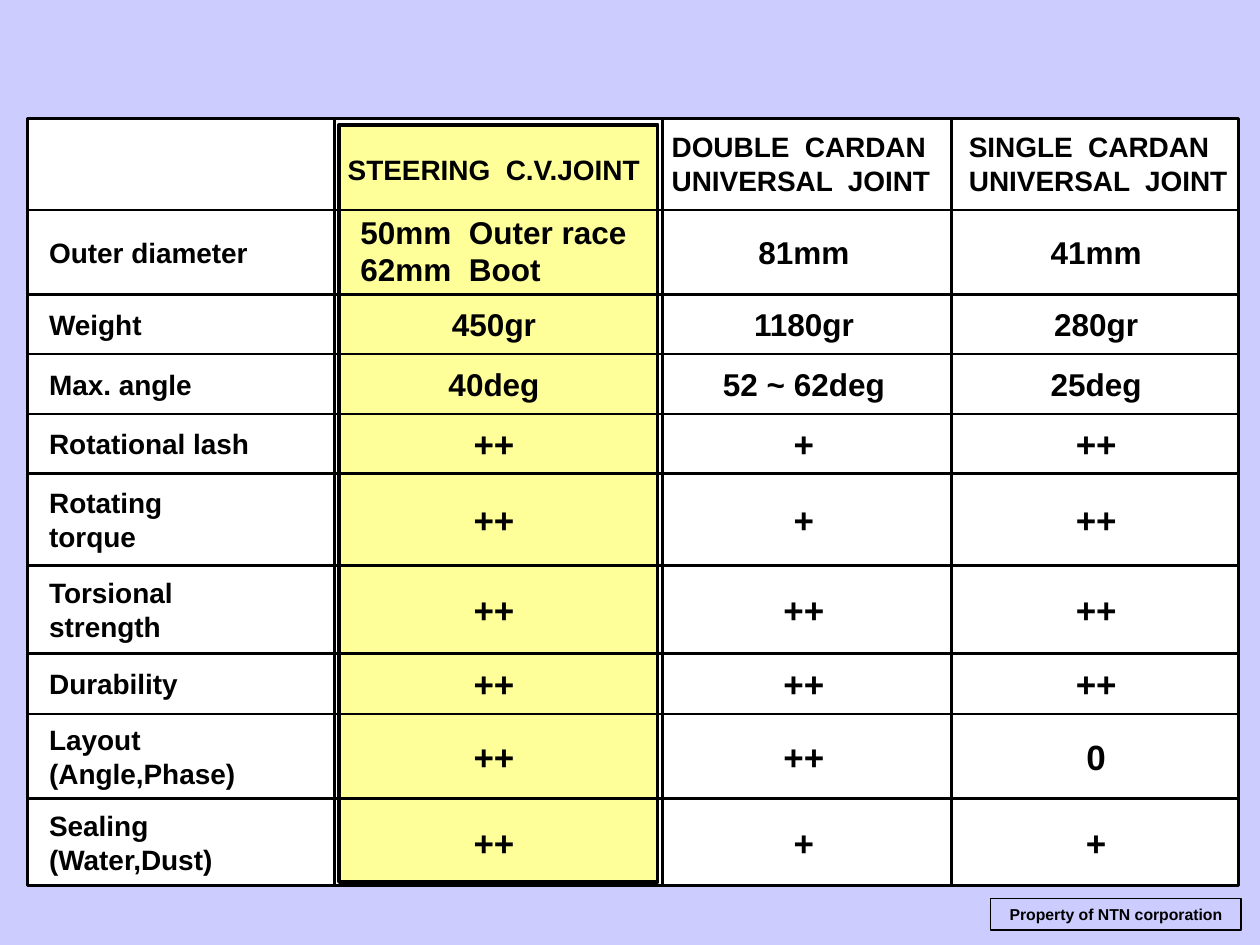
from itertools import pairwise

from lxml.etree import SubElement
from pptx import Presentation
from pptx.dml.color import RGBColor
from pptx.enum.shapes import MSO_CONNECTOR, MSO_SHAPE
from pptx.enum.text import MSO_ANCHOR, MSO_AUTO_SIZE, PP_ALIGN
from pptx.oxml.ns import qn
from pptx.util import Pt

COLORS = {"back": "CCCCFF", "cell": "FFFFFF", "mark": "FFFF99", "ink": "000000"}
FONT = "Arial"

TOP, END = 67.7, 506.2
COLS = [15.8, 191, 378.7, 543.6, 707.8]
RULES = [120, 168.3, 202.2, 236.6, 270.5, 323, 373.5, 408, 456.2]
MIDS = [282.3, 459.4, 626.4]
LABEL_X = 28.1

# Header text, left, middle, width, alignment
HEADS = [
    ("STEERING  C.V.JOINT", 198, 96.8, 168.5, PP_ALIGN.CENTER),
    ("DOUBLE  CARDAN\nUNIVERSAL  JOINT", 383.8, 93.2, 152.6, PP_ALIGN.LEFT),
    ("SINGLE  CARDAN\nUNIVERSAL  JOINT", 553.7, 93.2, 148.3, PP_ALIGN.LEFT),
]

# Label, label width, value size, values
ROWS = [
    ("Outer diameter", 144, 18, ["50mm  Outer race\n62mm  Boot", "81mm", "41mm"]),
    ("Weight", 56, 18, ["450gr", "1180gr", "280gr"]),
    ("Max. angle", 100, 18, ["40deg", "52 ~ 62deg", "25deg"]),
    ("Rotational lash", 153, 20, ["++", "+", "++"]),
    ("Rotating\ntorque", 115, 20, ["++", "+", "++"]),
    ("Torsional\nstrength", 94, 20, ["++", "++", "++"]),
    ("Durability", 96, 20, ["++", "++", "++"]),
    ("Layout\n(Angle,Phase)", 139, 20, ["++", "++", "0"]),
    ("Sealing\n(Water,Dust)", 117, 20, ["++", "+", "+"]),
]


def rgb(name):
    return RGBColor.from_string(COLORS[name])


def write(frame, text, size=16, align=PP_ALIGN.LEFT, wrap=False):
    frame.word_wrap = wrap
    frame.vertical_anchor = MSO_ANCHOR.MIDDLE
    frame.text = text
    for para in frame.paragraphs:
        para.alignment = align
        font = para.font
        font.name, font.size, font.bold = FONT, Pt(size), True
        font.color.rgb = rgb("ink")


def label(slide, text, left, mid, width, size=16, **form):
    """Add a text box without margins, centred on the height mid."""
    high = 1.2 * size * len(text.split("\n"))
    box = slide.shapes.add_textbox(Pt(left), Pt(mid - high / 2), Pt(width), Pt(high))
    frame = box.text_frame
    frame.margin_left = frame.margin_right = 0
    frame.margin_top = frame.margin_bottom = 0
    write(frame, text, size=size, **form)
    frame.auto_size = MSO_AUTO_SIZE.SHAPE_TO_FIT_TEXT


def panel(slide, left, top, width, height, fill=None, line=1.5):
    box = slide.shapes.add_shape(
        MSO_SHAPE.RECTANGLE, Pt(left), Pt(top), Pt(width), Pt(height))
    box.shadow.inherit = False
    if fill:
        box.fill.solid()
        box.fill.fore_color.rgb = rgb(fill)
    else:
        box.fill.background()
    box.line.color.rgb = rgb("ink")
    box.line.width = Pt(line)
    return box


def rule(slide, y):
    line = slide.shapes.add_connector(
        MSO_CONNECTOR.STRAIGHT, Pt(COLS[0]), Pt(y), Pt(COLS[-1]), Pt(y))
    line.line.color.rgb = rgb("ink")
    line.line.width = Pt(1.5)
    SubElement(line._element.spPr, qn("a:effectLst"))


def value(slide, text, mid_x, mid_y, size):
    """Add a value centred on a point; two lines start at the left."""
    if "\n" in text:
        label(slide, text, 206, mid_y - 1, 166, size=size, wrap=True)
        return
    width = 0.8 * size * len(text)
    label(slide, text, mid_x - width / 2, mid_y, width,
          size=size, align=PP_ALIGN.CENTER)


def main():
    deck = Presentation()
    deck.slide_width, deck.slide_height = Pt(720), Pt(540)
    slide = deck.slides.add_slide(deck.slide_layouts[6])
    slide.background.fill.solid()
    slide.background.fill.fore_color.rgb = rgb("back")

    note = panel(slide, 566, 513.4, 143.3, 18, line=1)
    write(note.text_frame, "Property of NTN corporation",
          size=9, align=PP_ALIGN.CENTER, wrap=True)

    for left, right in pairwise(COLS):
        panel(slide, left, TOP, right - left, END - TOP, fill="cell")
    panel(slide, 193.7, 71.3, 182.2, 432.7, fill="mark", line=2)

    for text, left, mid, width, align in HEADS:
        label(slide, text, left, mid, width, align=align)
    for (name, width, size, vals), (top, end) in zip(ROWS, pairwise(RULES + [END])):
        mid = (top + end) / 2
        label(slide, name, LABEL_X, mid, width, wrap=True)
        for text, x in zip(vals, MIDS):
            value(slide, text, x, mid, size)

    for y in RULES:
        rule(slide, y)
    deck.save("out.pptx")


if __name__ == "__main__":
    main()
